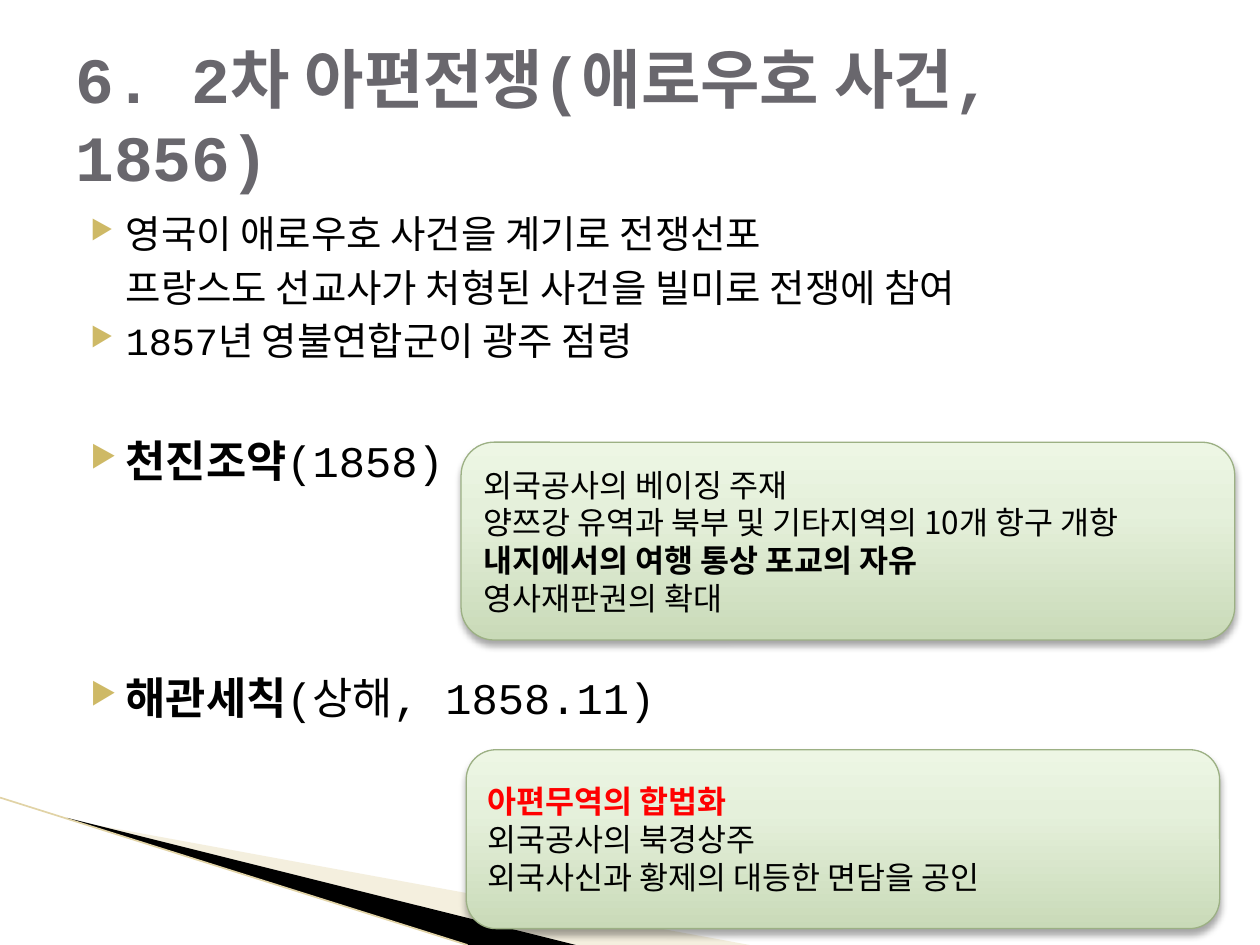
from dataclasses import dataclass
from typing import Any, Optional

import pptx
import pptx.dml.color
import pptx.enum.shapes
import pptx.enum.text
import pptx.oxml
import pptx.oxml.ns
import pptx.util

EMU_PER_PX = 9144  # 100 px to the inch
NAMESPACE = pptx.oxml.ns.nsdecls("a")


@dataclass(frozen=True)
class Theme:
    title_font: str = "Courier New"
    card_font: str = "Noto Sans CJK KR"
    title_color: str = "69676D"
    text_color: str = "000000"
    alert_color: str = "FF0000"
    bullet_color: str = "CEB966"
    card_line: str = "9CB084"
    card_stops: tuple = ((0, "C9DAB8"), (65, "E5F0DB"), (100, "EDF6E4"))
    sand: str = "E4D7AD"
    ribbon: str = "000000"
    ribbon_line: str = "E1D3A6"
    title_size: float = 36.9
    body_size: float = 22
    heading_size: float = 25
    card_size: float = 18


THEME = Theme()


@dataclass(frozen=True)
class Box:
    left: int
    top: int
    width: int
    height: int

    def emu(self) -> tuple:
        return tuple(px(n) for n in (self.left, self.top, self.width, self.height))


@dataclass(frozen=True)
class Run:
    text: str
    bold: bool = False
    color: str = THEME.text_color


@dataclass(frozen=True)
class Item:
    runs: tuple
    size: float = THEME.body_size
    space_before: float = 4
    bullet: bool = True


@dataclass(frozen=True)
class Card:
    box: Box
    lines: tuple


@dataclass(frozen=True)
class Wedge:
    points: tuple
    color: str
    opacity: Optional[int] = None


TITLE = Run("6. 2차 아편전쟁(애로우호 사건, 1856)", True, THEME.title_color)
TITLE_BOX = Box(50, 30, 900, 125)
BODY_BOX = Box(50, 162, 900, 588)
ITEMS = (
    Item((Run("영국이 애로우호 사건을 계기로 전쟁선포"),), space_before=0),
    Item((Run("프랑스도 선교사가 처형된 사건을 빌미로 전쟁에 참여"),), bullet=False),
    Item((Run("1857년 영불연합군이 광주 점령"),)),
    Item((Run("천진조약", True), Run("(1858)")), THEME.heading_size, 40.5),
    Item((Run("해관세칙", True), Run("(상해, 1858.11)")), THEME.heading_size, 105.5),
)
CARDS = (
    Card(Box(366, 351, 614, 157), (
        Run("외국공사의 베이징 주재"),
        Run("양쯔강 유역과 북부 및 기타지역의 10개 항구 개항"),
        Run("내지에서의 여행 통상 포교의 자유", True),
        Run("영사재판권의 확대"),
    )),
    Card(Box(370, 595, 598, 142), (
        Run("아편무역의 합법화", True, THEME.alert_color),
        Run("외국공사의 북경상주"),
        Run("외국사신과 황제의 대등한 면담을 공인"),
    )),
)
WEDGES = (
    Wedge(((55, 651), (595, 750), (456, 750), (55, 650)), THEME.sand, 40),
    Wedge(((53, 649), (457, 750), (372, 750), (54, 650)), THEME.ribbon),
)


def px(length: int) -> int:
    return length * EMU_PER_PX


def rgb(color: str) -> pptx.dml.color.RGBColor:
    return pptx.dml.color.RGBColor.from_string(color)


def apply(target: Any, values: dict) -> None:
    for name, value in values.items():
        setattr(target, name, value)


def xml(markup: str) -> Any:
    """Parse an element of the drawing namespace, given as <a:name ...>."""
    head, rest = markup.split(" ", 1)
    return pptx.oxml.parse_xml(f"{head} {NAMESPACE} {rest}")


def add_run(paragraph: Any, run: Run, font: str, size: float) -> None:
    text_run = paragraph.add_run()
    text_run.text = run.text
    apply(text_run.font, {"name": font, "size": pptx.util.Pt(size), "bold": run.bold})
    text_run.font.color.rgb = rgb(run.color)


def next_paragraph(frame: Any, index: int) -> Any:
    return frame.paragraphs[0] if index == 0 else frame.add_paragraph()


def add_wedge(slide: Any, wedge: Wedge) -> None:
    builder = slide.shapes.build_freeform(*wedge.points[0], scale=EMU_PER_PX)
    builder.add_line_segments(wedge.points[1:], close=True)
    shape = builder.convert_to_shape()
    shape.shadow.inherit = False
    shape.fill.solid()
    shape.fill.fore_color.rgb = rgb(wedge.color)
    shape.line.fill.background()
    if wedge.opacity is not None:
        color = shape._element.spPr.find(".//" + pptx.oxml.ns.qn("a:srgbClr"))
        color.append(xml(f'<a:alpha val="{wedge.opacity * 1000}"/>'))


def add_ribbon_line(slide: Any) -> None:
    line = slide.shapes.add_connector(
        pptx.enum.shapes.MSO_CONNECTOR.STRAIGHT, px(0), px(633), px(371), px(750))
    line.line.color.rgb = rgb(THEME.ribbon_line)
    line.line.width = pptx.util.Pt(0.95)
    line._element.spPr.append(xml("<a:effectLst />"))


def add_title(slide: Any) -> None:
    frame = slide.shapes.add_textbox(*TITLE_BOX.emu()).text_frame
    apply(frame, {"word_wrap": True,
                  "vertical_anchor": pptx.enum.text.MSO_ANCHOR.MIDDLE})
    add_run(frame.paragraphs[0], TITLE, THEME.title_font, THEME.title_size)


def add_body(slide: Any) -> None:
    frame = slide.shapes.add_textbox(*BODY_BOX.emu()).text_frame
    frame.word_wrap = True
    for index, item in enumerate(ITEMS):
        paragraph = next_paragraph(frame, index)
        paragraph.space_before = pptx.util.Pt(item.space_before)
        properties = paragraph._p.get_or_add_pPr()
        properties.set("marL", str(px(40)))
        if item.bullet:
            properties.set("indent", str(px(-28)))
            properties.append(xml(
                f'<a:buClr ><a:srgbClr val="{THEME.bullet_color}"/></a:buClr>'))
            properties.append(xml('<a:buSzPct val="68000"/>'))
            properties.append(xml('<a:buChar char="▶"/>'))
        for run in item.runs:
            add_run(paragraph, run, THEME.title_font, item.size)


def add_card(slide: Any, card: Card) -> None:
    shape = slide.shapes.add_shape(
        pptx.enum.shapes.MSO_SHAPE.ROUNDED_RECTANGLE, *card.box.emu())
    shape.line.color.rgb = rgb(THEME.card_line)
    shape.line.width = pptx.util.Pt(0.75)
    shape.shadow.inherit = False
    properties = shape._element.spPr
    stops = "".join(f'<a:gs pos="{position * 1000}"><a:srgbClr val="{color}"/></a:gs>'
                    for position, color in THEME.card_stops)
    properties.find(pptx.oxml.ns.qn("a:prstGeom")).addnext(xml(
        f'<a:gradFill ><a:gsLst>{stops}</a:gsLst><a:lin ang="16200000"/></a:gradFill>'))
    properties.find(pptx.oxml.ns.qn("a:effectLst")).append(xml(
        '<a:outerShdw blurRad="50800" dist="38100" dir="5400000" rotWithShape="0">'
        '<a:srgbClr val="000000"><a:alpha val="35000"/></a:srgbClr></a:outerShdw>'))
    frame = shape.text_frame
    apply(frame, {"word_wrap": True,
                  "vertical_anchor": pptx.enum.text.MSO_ANCHOR.MIDDLE})
    for index, line in enumerate(card.lines):
        paragraph = next_paragraph(frame, index)
        paragraph.alignment = pptx.enum.text.PP_ALIGN.LEFT
        add_run(paragraph, line, THEME.card_font, THEME.card_size)


def main() -> None:
    presentation = pptx.Presentation()
    apply(presentation, {"slide_width": px(1000), "slide_height": px(750)})
    slide = presentation.slides.add_slide(presentation.slide_layouts[6])
    for wedge in WEDGES:
        add_wedge(slide, wedge)
    add_ribbon_line(slide)
    add_body(slide)
    add_title(slide)
    for card in CARDS:
        add_card(slide, card)
    presentation.save("out.pptx")


if __name__ == "__main__":
    main()
